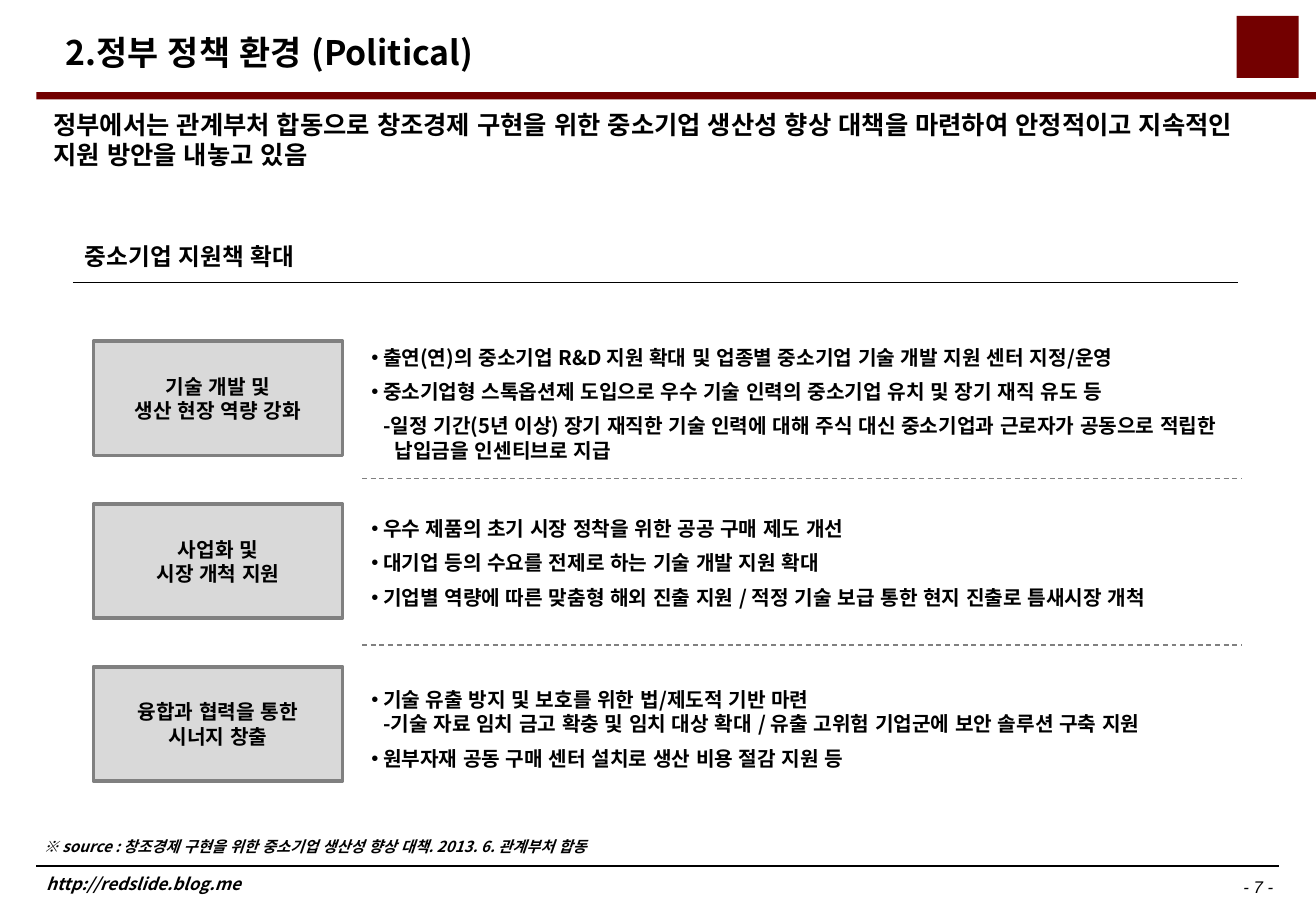
from lxml.etree import SubElement
from pptx import Presentation
from pptx.dml.color import RGBColor
from pptx.enum.dml import MSO_LINE
from pptx.enum.lang import MSO_LANGUAGE_ID
from pptx.enum.shapes import MSO_CONNECTOR, MSO_SHAPE
from pptx.enum.text import MSO_ANCHOR, PP_ALIGN
from pptx.oxml.ns import qn
from pptx.util import Pt

TITLE = "2.정부 정책 환경 (Political)"
MESSAGE = ("정부에서는 관계부처 합동으로 창조경제 구현을 위한 중소기업 생산성 향상 대책을 "
           "마련하여 안정적이고 지속적인 지원 방안을 내놓고 있음")
HEADING = "중소기업 지원책 확대"
SOURCE = "※ source : 창조경제 구현을 위한 중소기업 생산성 향상 대책. 2013. 6. 관계부처 합동"
SITE = "http://redslide.blog.me"
PAGE = "- 7 -"

# Each policy: label lines, then points as (level, lines)
POLICIES = [
    (["기술 개발 및", "생산 현장 역량 강화"], [
        (0, ["출연(연)의 중소기업 R&D 지원 확대 및 업종별 중소기업 기술 개발 지원 센터 지정/운영"]),
        (0, ["중소기업형 스톡옵션제 도입으로 우수 기술 인력의 중소기업 유치 및 장기 재직 유도 등"]),
        (1, ["-일정 기간(5년 이상) 장기 재직한 기술 인력에 대해 주식 대신 "
             "중소기업과 근로자가 공동으로 적립한 납입금을 인센티브로 지급"]),
    ]),
    (["사업화 및", "시장 개척 지원"], [
        (0, ["우수 제품의 초기 시장 정착을 위한 공공 구매 제도 개선"]),
        (0, ["대기업 등의 수요를 전제로 하는 기술 개발 지원 확대"]),
        (0, ["기업별 역량에 따른 맞춤형 해외 진출 지원 / 적정 기술 보급 통한 현지 진출로 틈새시장 개척"]),
    ]),
    (["융합과 협력을 통한", "시너지 창출"], [
        (0, ["기술 유출 방지 및 보호를 위한 법/제도적 기반 마련",
             "-기술 자료 임치 금고 확충 및 임치 대상 확대 / 유출 고위험 기업군에 보안 솔루션 구축 지원"]),
        (0, ["원부자재 공동 구매 센터 설치로 생산 비용 절감 지원 등"]),
    ]),
]

THEME = {
    "font": "Noto Sans CJK KR", "number_font": "Arial",
    "ink": RGBColor(0, 0, 0), "red": RGBColor(0x73, 0, 0),
    "grey": RGBColor(0x80, 0x80, 0x80), "panel": RGBColor(0xD9, 0xD9, 0xD9),
    "title": 20, "message": 15, "heading": 14, "body": 12, "footer": 10, "source": 9,
}
WIDTH, HEIGHT = 780, 540
LABEL_TOP, LABEL_PITCH = 202.3, 96.5
POINTS_TOP, POINTS_PITCH = 200.9, 101.5
DIVIDER_TOP, DIVIDER_PITCH = 283.7, 98.6
INDENT = 6.9

prs = Presentation()
prs.slide_width, prs.slide_height = Pt(WIDTH), Pt(HEIGHT)
s = prs.slides.add_slide(prs.slide_layouts[6])


def add_run(p, text, size, bold=True, italic=False, font=THEME["font"]):
    r = p.add_run()
    r.text = text
    f = r.font
    f.name, f.size, f.bold, f.italic = font, Pt(size), bold, italic
    f.color.rgb = THEME["ink"]
    f.language_id = MSO_LANGUAGE_ID.KOREAN
    SubElement(r._r.get_or_add_rPr(), qn("a:ea"), typeface=font)


def add_frame(x, y, w, h, inset=(7.2, 3.6)):
    tf = s.shapes.add_textbox(Pt(x), Pt(y), Pt(w), Pt(h)).text_frame
    tf.word_wrap = True
    tf.margin_left = tf.margin_right = Pt(inset[0])
    tf.margin_top = tf.margin_bottom = Pt(inset[1])
    return tf


def add_text(x, y, w, h, text, size, inset=(7.2, 3.6), **style):
    tf = add_frame(x, y, w, h, inset)
    add_run(tf.paragraphs[0], text, size, **style)
    return tf


def add_rect(x, y, w, h, fill, line=None):
    sp = s.shapes.add_shape(MSO_SHAPE.RECTANGLE, Pt(x), Pt(y), Pt(w), Pt(h))
    sp.shadow.inherit = False
    sp.fill.solid()
    sp.fill.fore_color.rgb = fill
    if line is None:
        sp.line.fill.background()
    else:
        sp.line.color.rgb = line
        sp.line.width = Pt(2.25)
    return sp


def add_rule(x1, x2, y, color, dash=None):
    line = s.shapes.add_connector(MSO_CONNECTOR.STRAIGHT, Pt(x1), Pt(y), Pt(x2), Pt(y))
    line.line.color.rgb = color
    line.line.width = Pt(0.75)
    if dash:
        line.line.dash_style = dash
    SubElement(line._element.spPr, qn("a:effectLst"))


def add_label(y, lines):
    sp = add_rect(55.4, y, 147.6, 67.7, THEME["panel"], THEME["grey"])
    tf = sp.text_frame
    tf.word_wrap = True
    tf.vertical_anchor = MSO_ANCHOR.MIDDLE
    for i, line in enumerate(lines):
        p = tf.add_paragraph() if i else tf.paragraphs[0]
        p.alignment = PP_ALIGN.CENTER
        add_run(p, line, THEME["body"])


def add_points(y, points):
    tf = add_frame(213.1, y, 535, 70)
    for i, (level, lines) in enumerate(points):
        p = tf.add_paragraph() if i else tf.paragraphs[0]
        pPr = p._p.get_or_add_pPr()
        pPr.set("marL", str(Pt(INDENT * (level + 1))))
        pPr.set("indent", str(Pt(-INDENT)))
        if level == 0:
            SubElement(pPr, qn("a:buFont"), typeface="Arial")
            SubElement(pPr, qn("a:buChar"), char="•")
        if i:
            p.space_before = Pt(6)
        for k, line in enumerate(lines):
            if k:
                p.add_line_break()
            add_run(p, line, THEME["body"])


# Header
add_rect(21.6, 54.7, WIDTH - 21.6, 4.3, THEME["red"])
add_rect(733, 9.4, 36.7, 36.7, THEME["red"])
title = add_text(31.7, 18, 703.4, 28.8, TITLE, THEME["title"])
title.vertical_anchor = MSO_ANCHOR.BOTTOM
title.paragraphs[0].line_spacing = 0.9
add_text(31.7, 64.8, 727.2, 59, MESSAGE, THEME["message"], inset=(0, 0))

# Policies
add_text(43.2, 139.7, 692.6, 24.5, HEADING, THEME["heading"])
add_rule(43.2, 733.7, 167.6, THEME["ink"])
for i, (label, points) in enumerate(POLICIES):
    add_label(LABEL_TOP + i * LABEL_PITCH, label)
    add_points(POINTS_TOP + i * POINTS_PITCH, points)
    if i < len(POLICIES) - 1:
        add_rule(214.6, 735.8, DIVIDER_TOP + i * DIVIDER_PITCH, THEME["grey"], MSO_LINE.DASH)

# Footer
add_text(18.7, 492.5, 363.6, 18, SOURCE, THEME["source"], italic=True)
add_rule(21.6, 758.2, 513.4, THEME["ink"])
add_text(20.2, 514.1, 251.3, 19.4, SITE, THEME["footer"], italic=True)
page = add_text(579.6, 516.2, 182.2, 15.8, PAGE, THEME["footer"],
                bold=False, italic=True, font=THEME["number_font"])
page.paragraphs[0].alignment = PP_ALIGN.RIGHT

prs.save("out.pptx")
